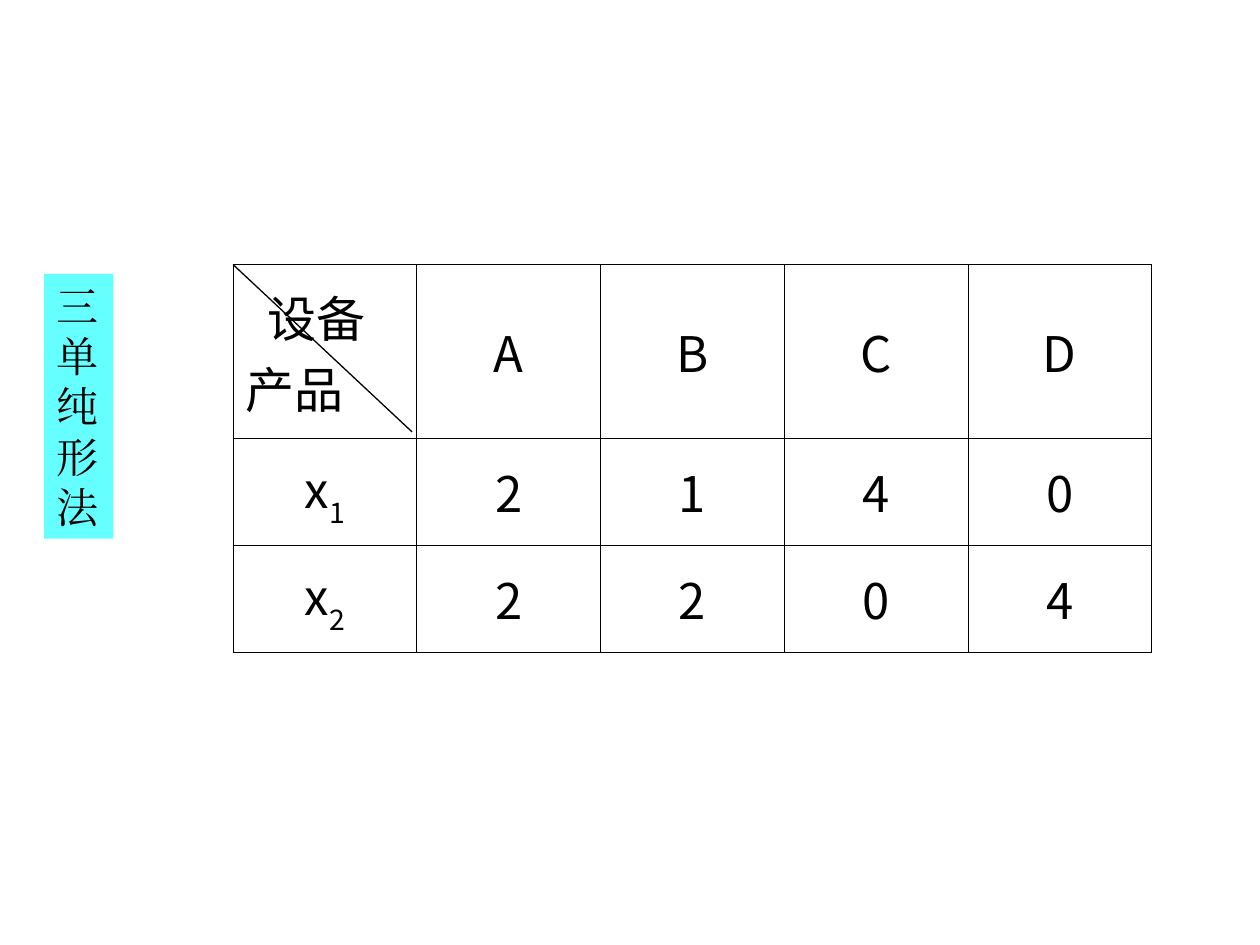
from dataclasses import dataclass
from lxml.etree import SubElement as Sub
from pptx import Presentation
from pptx.dml.color import RGBColor as Rgb
from pptx.enum.shapes import MSO_CONNECTOR as Link, MSO_SHAPE as Kind
from pptx.enum.text import MSO_ANCHOR as Anchor, PP_ALIGN as Align
from pptx.oxml import parse_xml as to_xml
from pptx.oxml.ns import nsdecls, qn
from pptx.util import Inches, Pt


@dataclass(frozen=True)
class Theme:
    """Colours, fonts and type sizes of the slide."""
    ink: str = "000000"
    cyan: str = "66FFFF"
    sans: str = "Noto Sans CJK SC"
    serif: str = "Times New Roman"
    body: float = 28
    label: float = 24
    pitch: float = 28.8
    rule: float = 0.45
    slash: float = 0.75


THEME = Theme()
WIDE, HIGH = 10, 7.5
HEAD = ["A", "B", "C", "D"]
ROWS = [("1", [2, 1, 4, 0]), ("2", [2, 2, 0, 4])]


def share(left, top, wide, high):
    """Turn shares of the slide's size into a box of lengths."""
    return (Inches(left * WIDE), Inches(top * HIGH),
            Inches(wide * WIDE), Inches(high * HIGH))


def style(run, font, size):
    """Give a run its typeface, size and colour."""
    run.font.name, run.font.size = font, Pt(size)
    run.font.color.rgb = Rgb.from_string(THEME.ink)
    Sub(run._r.get_or_add_rPr(), qn("a:ea")).set("typeface", font)


def frame(cell):
    """Clear a cell's fill and rule its four sides."""
    cell.fill.background()
    props = cell._tc.get_or_add_tcPr()
    for spot, side in enumerate("LRTB"):
        props.insert(spot, to_xml(
            f'<a:ln{side} {nsdecls("a")} w="{Pt(THEME.rule)}"><a:solidFill>'
            f'<a:srgbClr val="{THEME.ink}"/></a:solidFill></a:ln{side}>'))


def write(cell, text, low="", align=Align.CENTER):
    """Write a cell's text, with a subscript if there is one."""
    cell.vertical_anchor = Anchor.MIDDLE
    cell.text_frame.text = text
    if low:
        sub = cell.text_frame.paragraphs[0].add_run()
        sub.text = low
        sub.font._element.set("baseline", "-30000")
    for para in cell.text_frame.paragraphs:
        para.alignment = align
        for run in para.runs:
            style(run, THEME.sans, THEME.body)


def slash(slide, box):
    """Draw the diagonal of the corner cell."""
    left, top, wide, high = box
    line = slide.shapes.add_connector(
        Link.STRAIGHT, left, top, left + wide, top + high)
    line.line.color.rgb = Rgb.from_string(THEME.ink)
    line.line.width = Pt(THEME.slash)
    Sub(line._element.spPr, qn("a:effectLst"))


def grid(slide, box):
    """Place the table of machine hours for each product."""
    left, top, wide, high = box
    rows, cols = len(ROWS) + 1, len(HEAD) + 1
    table = slide.shapes.add_table(rows, cols, *box).table
    table.first_row = table.horz_banding = False
    for col in table.columns:
        col.width = int(wide / cols)
    for row, part in zip(table.rows, [0.448, 0.276, 0.276]):
        row.height = int(high * part)
    for cell in table.iter_cells():
        frame(cell)
    corner = table.cell(0, 0)
    write(corner, "设备\n产品", align=Align.LEFT)
    first = corner.text_frame.paragraphs[0]
    first._p.get_or_add_pPr().set("marL", str(int(wide / cols * 0.12)))
    for col, name in enumerate(HEAD, 1):
        write(table.cell(0, col), name)
    for row, (low, vals) in enumerate(ROWS, 1):
        write(table.cell(row, 0), "x", low)
        for col, val in enumerate(vals, 1):
            write(table.cell(row, col), str(val))


def label(slide, box):
    """Place the narrow chapter label, one letter a line."""
    shape = slide.shapes.add_shape(Kind.RECTANGLE, *box)
    shape.shadow.inherit = False
    shape.fill.solid()
    shape.fill.fore_color.rgb = Rgb.from_string(THEME.cyan)
    shape.line.fill.background()
    text = shape.text_frame
    text.word_wrap = True
    text.vertical_anchor = Anchor.TOP
    text.text = "三单纯形法"
    para = text.paragraphs[0]
    para.alignment = Align.LEFT
    para.line_spacing = Pt(THEME.pitch)
    style(para.runs[0], THEME.serif, THEME.label)


def main():
    """Build the slide and save it."""
    deck = Presentation()
    deck.slide_width, deck.slide_height = Inches(WIDE), Inches(HIGH)
    slide = deck.slides.add_slide(deck.slide_layouts[6])
    slash(slide, share(0.185, 0.28, 0.142, 0.177))
    grid(slide, share(0.185, 0.28, 0.729, 0.41))
    label(slide, share(0.035, 0.29, 0.055, 0.28))
    deck.save("out.pptx")


if __name__ == "__main__":
    main()
